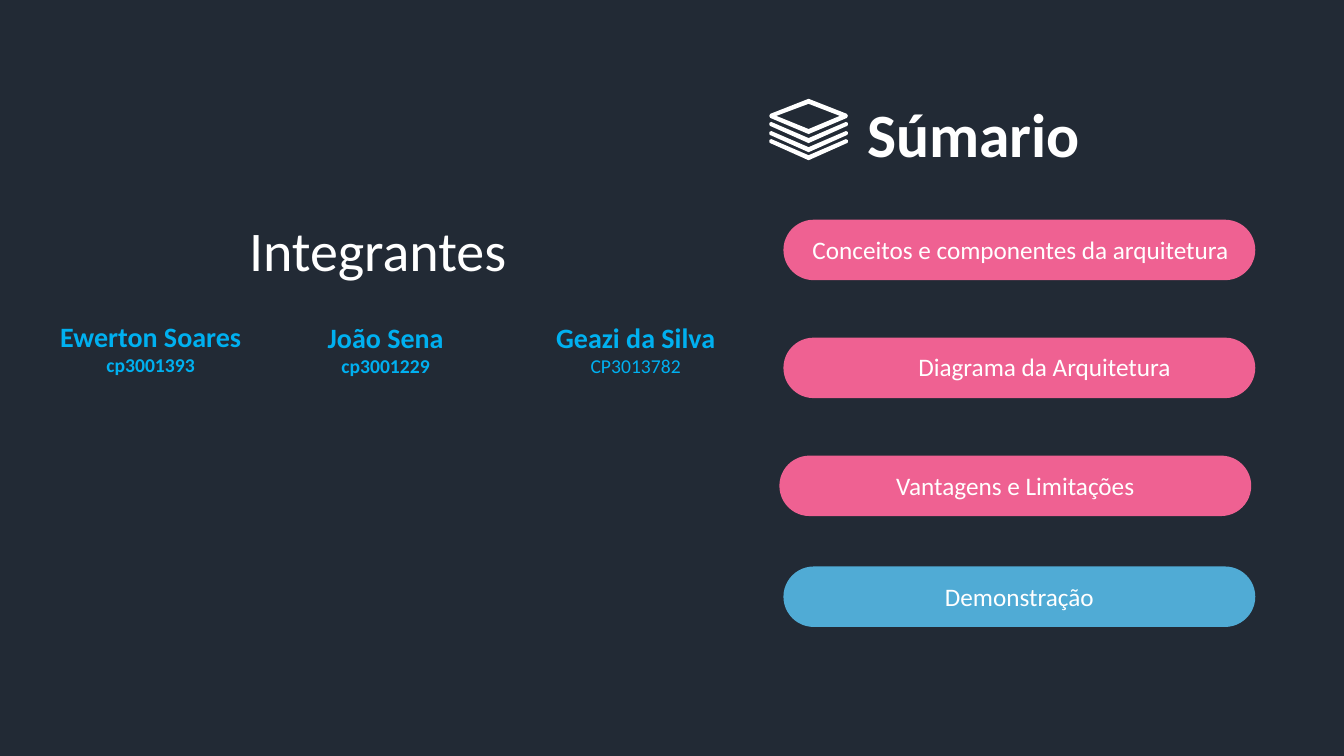
"""Build the slide listing the team members and the table of contents."""
from dataclasses import dataclass

from pptx import Presentation
from pptx.dml.color import RGBColor
from pptx.enum.shapes import MSO_SHAPE
from pptx.enum.text import MSO_ANCHOR as Anchor, MSO_AUTO_SIZE as AutoSize, PP_ALIGN as Align
from pptx.shapes.autoshape import Shape
from pptx.slide import Slide
from pptx.text.text import TextFrame
from pptx.util import Inches, Pt

NIGHT = RGBColor(0x22, 0x2A, 0x35)
WHITE = RGBColor(0xFF, 0xFF, 0xFF)
CYAN = RGBColor(0x00, 0xB0, 0xF0)
PINK = RGBColor(0xEF, 0x61, 0x92)
BLUE = RGBColor(0x50, 0xAB, 0xD5)
FONT = "Calibri"

Box = tuple[float, float, float, float]
Points = list[tuple[float, float]]


@dataclass(frozen=True)
class Line:
    text: str
    size: int
    color: RGBColor = WHITE
    bold: bool = False


@dataclass(frozen=True)
class Member:
    name: str
    code: str
    box: Box
    bold_code: bool = True


@dataclass(frozen=True)
class Topic:
    label: str
    left: float
    top: float
    color: RGBColor = PINK
    label_box: Box | None = None


MEMBERS = [
    Member("João Sena", "cp3001229", (2.6, 3.12, 2.45, 0.69)),
    Member("Ewerton Soares", "cp3001393", (0.21, 3.12, 2.57, 0.67)),
    Member("Geazi da Silva", "CP3013782", (4.72, 3.13, 3.17, 0.67), bold_code=False),
]
TOPICS = [
    Topic("Conceitos\u00a0e componentes da arquitetura", 7.77, 2.18,
          label_box=(7.96, 2.28, 4.38, 0.74)),
    Topic("Diagrama da Arquitetura", 7.77, 3.35, label_box=(9.01, 3.44, 2.73, 0.74)),
    Topic("Vantagens e Limitações", 7.73, 4.52),
    Topic("Demonstração", 7.77, 5.62, BLUE),
]
SHEET_RIM: Points = [(8.02, 0.98), (8.4, 1.13), (8.41, 1.15), (8.4, 1.17), (8.02, 1.33),
                     (7.64, 1.17), (7.63, 1.15), (7.64, 1.13)]
SHEET_HOLE: Points = [(8.02, 1.03), (7.7, 1.15), (8.02, 1.28), (8.33, 1.15)]
FOLD: Points = [(7.65, 0), (8.02, 0.16), (8.39, 0), (8.41, 0.01), (8.41, 0.03),
                (8.4, 0.04), (8.02, 0.21), (7.64, 0.04), (7.63, 0.03), (7.63, 0.01)]


def write(frame: TextFrame, lines: list[Line], align: Align, anchor: Anchor,
          wrap: bool = True) -> None:
    """Fill a text frame with one formatted paragraph per line."""
    frame.word_wrap = wrap
    frame.auto_size = AutoSize.NONE
    frame.vertical_anchor = anchor
    for index, line in enumerate(lines):
        paragraph = frame.add_paragraph() if index else frame.paragraphs[0]
        paragraph.alignment = align
        run = paragraph.add_run()
        run.text = line.text
        run.font.name = FONT
        run.font.size = Pt(line.size)
        run.font.bold = line.bold
        run.font.color.rgb = line.color


def add_text(slide: Slide, box: Box, lines: list[Line], align: Align = Align.CENTER,
             anchor: Anchor = Anchor.MIDDLE, wrap: bool = True) -> None:
    """Add a text box."""
    frame = slide.shapes.add_textbox(*map(Inches, box)).text_frame
    write(frame, lines, align, anchor, wrap)


def paint(shape: Shape, color: RGBColor) -> None:
    """Give a shape a flat fill without line or shadow."""
    shape.shadow.inherit = False
    shape.fill.solid()
    shape.fill.fore_color.rgb = color
    shape.line.fill.background()


def add_outline(slide: Slide, *contours: Points) -> None:
    """Draw one white shape from closed contours."""
    first, *others = [[(Inches(x), Inches(y)) for x, y in contour] for contour in contours]
    builder = slide.shapes.build_freeform(*first[0])
    builder.add_line_segments(first[1:])
    for contour in others:
        builder.move_to(*contour[0])
        builder.add_line_segments(contour[1:])
    paint(builder.convert_to_shape(), WHITE)


def add_topic(slide: Slide, topic: Topic) -> None:
    """Draw a rounded bar with its label."""
    bar = slide.shapes.add_shape(MSO_SHAPE.ROUNDED_RECTANGLE, Inches(topic.left),
                                 Inches(topic.top), Inches(4.68), Inches(0.6))
    bar.adjustments[0] = 0.5
    paint(bar, topic.color)
    label = [Line(topic.label, 18)]
    if topic.label_box:
        add_text(slide, topic.label_box, label, Align.LEFT, Anchor.TOP, wrap=False)
    else:
        write(bar.text_frame, label, Align.CENTER, Anchor.MIDDLE)


def main() -> None:
    """Compose and save the slide."""
    deck = Presentation()
    deck.slide_width, deck.slide_height = Inches(13.33), Inches(7.5)
    slide = deck.slides.add_slide(deck.slide_layouts[5])
    slide.background.fill.solid()
    slide.background.fill.fore_color.rgb = NIGHT

    summary = slide.shapes.title
    summary.left, summary.top, summary.width, summary.height = map(
        Inches, (8.5, 0.9, 2.33, 1.58))
    write(summary.text_frame, [Line("Súmario", 44, bold=True)], Align.LEFT, Anchor.TOP,
          wrap=False)

    add_outline(slide, SHEET_RIM, SHEET_HOLE)
    for top in (1.21, 1.3, 1.38):
        add_outline(slide, [(x, top + y) for x, y in FOLD])

    add_text(slide, (1.09, 2.16, 5.31, 0.63), [Line("Integrantes", 40)])
    for member in MEMBERS:
        add_text(slide, member.box, [Line(member.name, 20, CYAN, True),
                                     Line(member.code, 14, CYAN, member.bold_code)])
    for topic in TOPICS:
        add_topic(slide, topic)
    deck.save("out.pptx")


if __name__ == "__main__":
    main()
